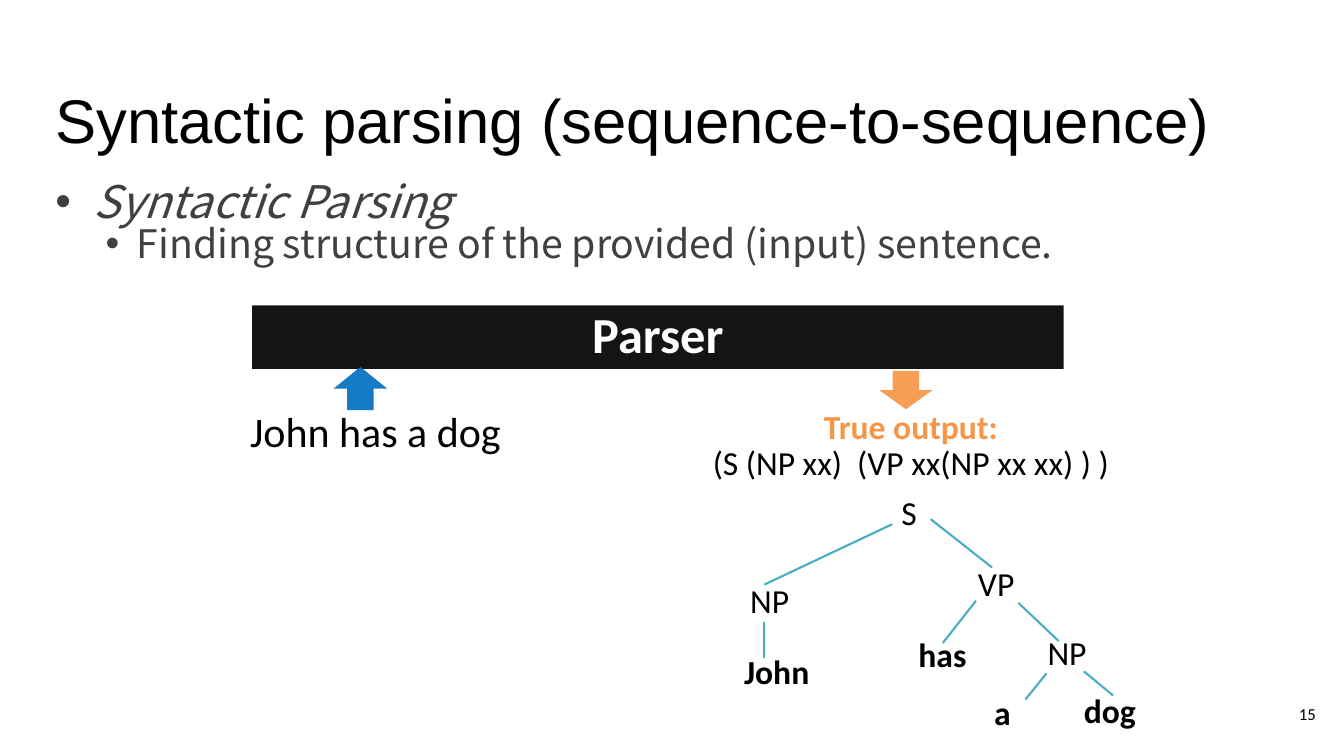
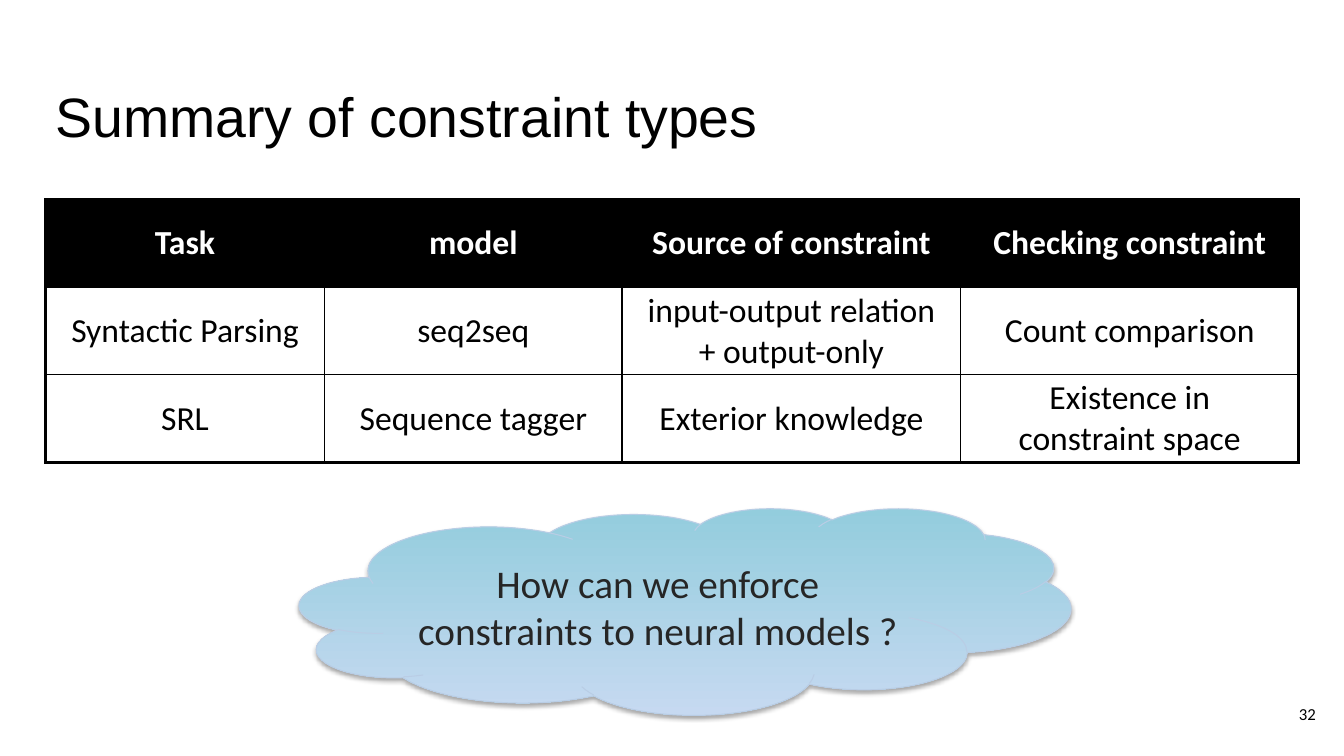
from lxml import etree
from pptx import Presentation
from pptx.dml.color import RGBColor
from pptx.enum.shapes import MSO_CONNECTOR, MSO_SHAPE as Preset
from pptx.enum.text import MSO_ANCHOR as Anchor, PP_ALIGN as Align
from pptx.oxml.ns import qn
from pptx.util import Emu, Pt

EMU_PER_PX = 9144  # 100 px to the inch

BLACK = RGBColor(0x00, 0x00, 0x00)
WHITE = RGBColor(0xFF, 0xFF, 0xFF)
BODY_GREY = RGBColor(0x40, 0x40, 0x40)
CLOUD_INK = RGBColor(0x26, 0x26, 0x26)
BLUE = RGBColor(0x00, 0x70, 0xC0)
ORANGE = RGBColor(0xF7, 0x96, 0x46)
TEAL = RGBColor(0x4B, 0xAC, 0xC6)
CLOUD_TOP = RGBColor(0x93, 0xCD, 0xDD)
CLOUD_BOTTOM = RGBColor(0xC6, 0xD9, 0xF1)
CLOUD_EDGE = RGBColor(0xB9, 0xCD, 0xE5)

TITLE_FONT, BODY_FONT, TEXT_FONT = "Arial", "Noto Sans CJK KR", "Calibri"


def px(*lengths):
    return [Emu(length * EMU_PER_PX) for length in lengths]


def child(parent, tag, **attributes):
    node = etree.SubElement(parent, qn(tag))
    for name, value in attributes.items():
        node.set(name, str(value))
    return node


class Deck:
    def __init__(self):
        self.deck = Presentation()
        self.deck.slide_width, self.deck.slide_height = px(1333, 750)
        self.page = None

    def new_page(self, title, number, title_size):
        self.page = self.deck.slides.add_slide(self.deck.slide_layouts[6])
        self.text((45, 71, 1242, 84), [title], title_size, font=TITLE_FONT, inset=10)
        self.text((1235, 680, 80, 57), [str(number)], 12, align=Align.RIGHT,
                  anchor=Anchor.MIDDLE, inset=10)

    def style(self, para, size, color=BLACK, bold=False, italic=False,
              font=TEXT_FONT, align=Align.LEFT, spacing=None):
        para.alignment = align
        if spacing:
            para.line_spacing = spacing
        face = para.font
        face.name, face.size, face.bold, face.italic = font, Pt(size), bold, italic
        face.color.rgb = color

    def fill_frame(self, frame, lines, size, **style):
        for index, line in enumerate(lines):
            para = frame.paragraphs[0] if index == 0 else frame.add_paragraph()
            para.text = line
            self.style(para, size, **style)

    def text(self, place, lines, size, anchor=Anchor.TOP, inset=0, **style):
        frame = self.page.shapes.add_textbox(*px(*place)).text_frame
        frame.word_wrap = True
        frame.vertical_anchor = anchor
        (frame.margin_left, frame.margin_top,
         frame.margin_right, frame.margin_bottom) = px(*[inset] * 4)
        self.fill_frame(frame, lines, size, **style)
        return frame

    def bullets(self, place, items):
        frame = self.text(place, [item["text"] for item in items], 28, inset=10)
        for para, item in zip(frame.paragraphs, items):
            para.level = item["level"]
            margin, hanging = px(item["margin"], item["hanging"])
            properties = para._p.get_or_add_pPr()
            properties.set("marL", str(margin))
            properties.set("indent", str(-hanging))
            for old in properties.findall(qn("a:defRPr")):
                properties.remove(old)
            child(properties, "a:buFont", typeface="Arial")
            child(properties, "a:buChar", char="•")
            self.style(para, item["size"], BODY_GREY, italic=item["italic"],
                       font=BODY_FONT, spacing=item["spacing"])

    def shape(self, preset, place, color=None, opacity=None):
        shape = self.page.shapes.add_shape(preset, *px(*place))
        shape.shadow.inherit = False
        shape.line.fill.background()
        if color is not None:
            shape.fill.solid()
            shape.fill.fore_color.rgb = color
        if opacity:
            solid = shape._element.spPr.find(qn("a:solidFill"))
            child(solid[0], "a:alpha", val=opacity * 1000)
        return shape

    def label(self, shape, words, size, **style):
        frame = shape.text_frame
        frame.word_wrap = True
        frame.vertical_anchor = Anchor.MIDDLE
        self.fill_frame(frame, [words], size, align=Align.CENTER, **style)

    def line(self, start, end):
        line = self.page.shapes.add_connector(
            MSO_CONNECTOR.STRAIGHT, *px(*start, *end))
        line.line.color.rgb = TEAL
        line.line.width = Pt(1.5)
        child(line._element.spPr, "a:effectLst")

    def cloud(self, place, words):
        cloud = self.shape(Preset.CLOUD, place)
        cloud.fill.gradient()
        cloud.fill.gradient_angle = 270
        for stop, color in zip(cloud.fill.gradient_stops, (CLOUD_TOP, CLOUD_BOTTOM)):
            stop.color.rgb = color
        cloud.line.color.rgb = CLOUD_EDGE
        cloud.line.width = Pt(0.75)
        effects = cloud._element.spPr.find(qn("a:effectLst"))
        shadow = child(effects, "a:outerShdw", blurRad=Pt(3.1), dist=Pt(1.8),
                       dir=90 * 60000, rotWithShape=0)
        child(child(shadow, "a:srgbClr", val=BLACK), "a:alpha", val=35000)
        self.label(cloud, words, 28, color=CLOUD_INK)

    def borders(self, cell, widths):
        properties = cell._tc.get_or_add_tcPr()
        for position, (side, width) in enumerate(widths.items()):
            edge = child(properties, f"a:ln{side}", w=Pt(width))
            child(child(edge, "a:solidFill"), "a:srgbClr", val=BLACK)
            properties.insert(position, edge)

    def table(self, place, columns, row_height, rows):
        table = self.page.shapes.add_table(len(rows), len(columns), *px(*place)).table
        table.first_row = table.horz_banding = False
        for column, width in zip(table.columns, px(*columns)):
            column.width = width
        last_row, last_column = len(rows) - 1, len(columns) - 1
        for r, row in enumerate(rows):
            table.rows[r].height = px(row_height)[0]
            header = r == 0
            for c, words in enumerate(row):
                cell = table.cell(r, c)
                cell.vertical_anchor = Anchor.MIDDLE
                cell.margin_left, cell.margin_right = px(4, 4)
                cell.margin_top, cell.margin_bottom = px(3, 3)
                cell.fill.solid()
                cell.fill.fore_color.rgb = BLACK if header else WHITE
                self.fill_frame(cell.text_frame, words.split("\n"), 24, bold=header,
                                color=WHITE if header else BLACK, align=Align.CENTER)
                outer = {"L": c == 0, "R": c == last_column,
                         "T": r == 0, "B": r == last_row}
                self.borders(cell, {side: 2.25 if edge else 1
                                    for side, edge in outer.items()})


def parsing_page(deck):
    deck.new_page("Syntactic parsing (sequence-to-sequence)", 15, 44)
    deck.bullets((45, 168, 1242, 498), [
        dict(text="Syntactic Parsing", level=0, margin=38, hanging=38,
             size=32, italic=True, spacing=0.9),
        dict(text="Finding structure of the provided (input) sentence.", level=1,
             margin=81, hanging=31, size=28, italic=False, spacing=0.82),
    ])

    # Parser with its input and output
    parser = deck.shape(Preset.RECTANGLE, (250, 303, 805, 63), BLACK, 92)
    deck.label(parser, "Parser", 36, color=WHITE, bold=True, spacing=0.9)
    deck.shape(Preset.UP_ARROW, (331, 364, 53, 43), BLUE, 92)
    deck.shape(Preset.DOWN_ARROW, (872, 368, 53, 38), ORANGE, 92)
    deck.text((248, 408, 269, 66), ["John has a dog"], 30, spacing=0.9)
    output = deck.text((641, 402, 525, 82),
                       ["True output:", "(S (NP xx)  (VP xx(NP xx xx) ) )"], 24,
                       anchor=Anchor.MIDDLE, align=Align.CENTER, spacing=0.9)
    heading = output.paragraphs[0].font
    heading.bold = True
    heading.color.rgb = ORANGE

    # Parse tree
    branches = [
        ((758, 580), (885, 520)), ((923, 515), (984, 563)),
        ((935, 638), (968, 596)), ((1010, 598), (1050, 636)),
        ((1017, 694), (1038, 668)), ((1075, 666), (1104, 690)),
        ((758, 617), (758, 653)),
    ]
    for start, end in branches:
        deck.line(start, end)
    nodes = [
        ("S", 894, 493), ("NP", 744, 580), ("VP", 970, 563), ("NP", 1039, 631),
        ("John", 738, 650), ("has", 911, 633), ("a", 986, 691), ("dog", 1075, 689),
    ]
    for word, left, top in nodes:
        is_leaf = not word.isupper()
        deck.text((left, top, 70, 43), [word], 24, bold=is_leaf, spacing=0.9)


def summary_page(deck):
    deck.new_page("Summary of constraint types", 32, 39.6)
    deck.table((45, 198, 1243, 261), (277, 295, 336, 335), 87, [
        ("Task", "model", "Source of constraint", "Checking constraint"),
        ("Syntactic Parsing", "seq2seq", "input-output relation\n+ output-only",
         "Count comparison"),
        ("SRL", "Sequence tagger", "Exterior knowledge",
         "Existence in\nconstraint space"),
    ])
    deck.cloud((297, 504, 765, 205),
               "How can we enforce constraints to neural models ?")


def main():
    deck = Deck()
    parsing_page(deck)
    summary_page(deck)
    deck.deck.save("out.pptx")


if __name__ == "__main__":
    main()
